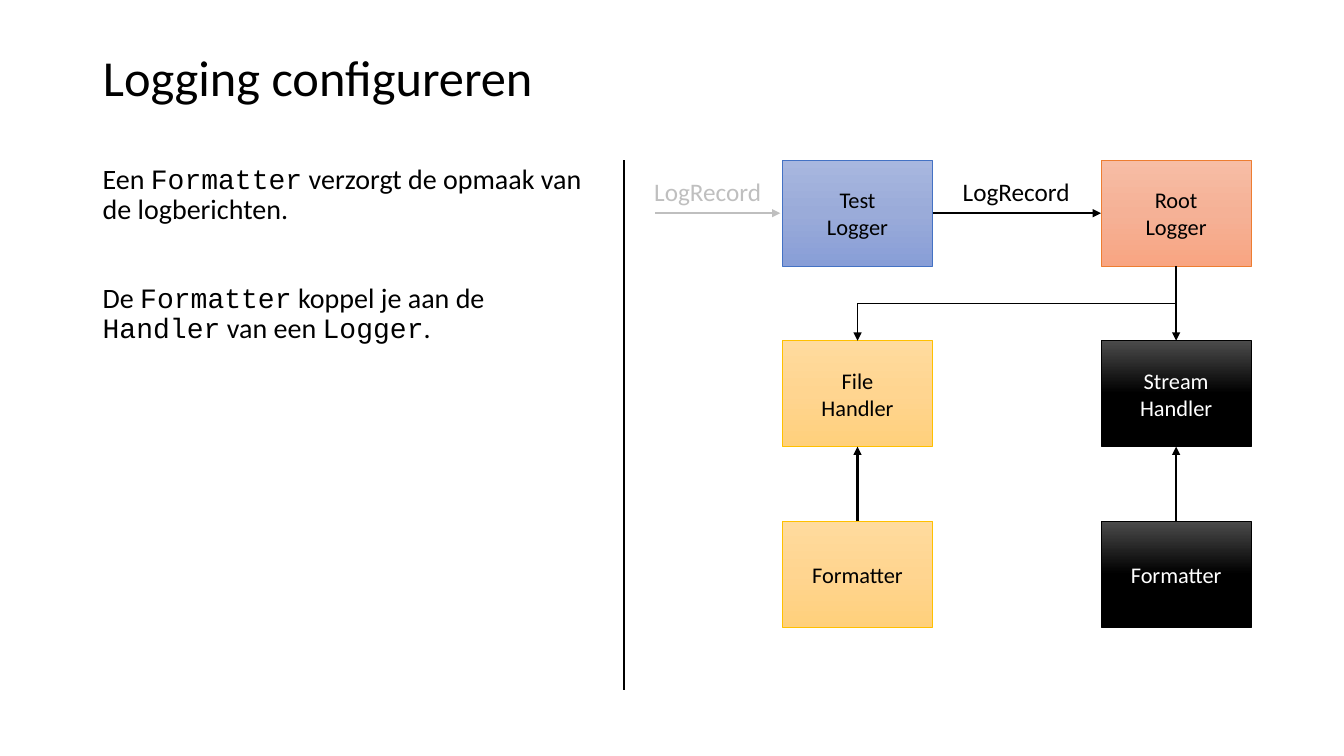
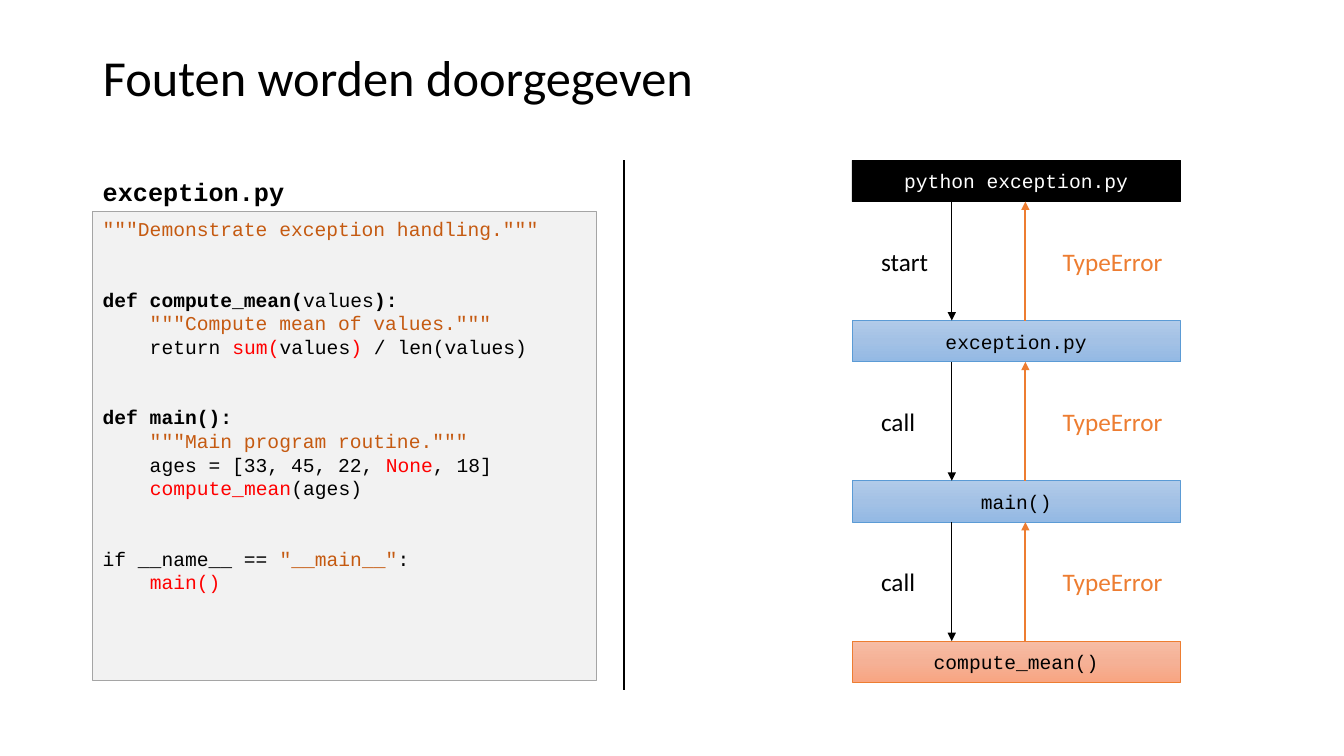
from copy import deepcopy

from lxml import etree
from pptx import Presentation
from pptx.dml.color import RGBColor
from pptx.enum.shapes import MSO_CONNECTOR, MSO_SHAPE
from pptx.enum.text import MSO_ANCHOR, MSO_AUTO_SIZE, PP_ALIGN
from pptx.oxml.ns import qn
from pptx.util import Inches, Pt

STRAIGHT, ELBOW = MSO_CONNECTOR.STRAIGHT, MSO_CONNECTOR.ELBOW
RECT = MSO_SHAPE.RECTANGLE
TOP, MIDDLE = MSO_ANCHOR.TOP, MSO_ANCHOR.MIDDLE
LEFT, CENTER = PP_ALIGN.LEFT, PP_ALIGN.CENTER
NO_FIT = MSO_AUTO_SIZE.NONE

SANS, MONO = "Calibri", "Courier New"
COLORS = {
    "black": "000000", "white": "FFFFFF", "muted": "BFBFBF",
    "error": "ED7D31", "string": "C55A11", "failing": "FF0000",
    "code_fill": "F2F2F2", "code_line": "A5A5A5",
}
# Box style: gradient stops from top to bottom, line colour, text colour
BOXES = {
    "indigo": (("A8B7DF", "9AABD9", "889ED7"), "4472C4", "black"),
    "blue": (("B1CBE9", "A3C1E5", "93B9E4"), "5B9BD5", "black"),
    "orange": (("F7BDA5", "F5B196", "F8A582"), "ED7D31", "black"),
    "gold": (("FFDB9E", "FFD590", "FFD07C"), "FFC000", "black"),
    "dark": (("4B4B4B", "000000", "000000"), "000000", "white"),
    "solid": (("000000",), "000000", "white"),
}
MARGIN, COLUMN_W = 0.92, 5
CONTENT_TOP = 1.59
CODE_LINE = 16.85

# Blocks of lines, each line a list of (text, style)
CODE = [
    [[('"""Demonstrate exception handling."""', "string")]],
    [
        [("def compute_mean(", "bold"), ("values", "black"), ("):", "bold")],
        [('    """Compute mean of values."""', "string")],
        [("    return ", "black"), ("sum(", "failing"), ("values", "black"),
         (")", "failing"), (" / len(values)", "black")],
    ],
    [
        [("def main():", "bold")],
        [('    """Main program routine."""', "string")],
        [("    ages = [33, 45, 22, ", "black"), ("None", "failing"),
         (", 18]", "black")],
        [("    ", "black"), ("compute_mean", "failing"), ("(ages)", "black")],
    ],
    [
        [("if __name__ == ", "black"), ('"__main__"', "string"),
         (":", "black")],
        [("    ", "black"), ("main()", "failing")],
    ],
]


def rgb(name):
    return RGBColor.from_string(COLORS.get(name, name))


def set_font(font, size, color="black", name=SANS, bold=False):
    font.size, font.name, font.bold = Pt(size), name, bold
    font.color.rgb = rgb(color)


def add_line(slide, start, end, color="black", width=1.5, arrow=True,
             kind=STRAIGHT):
    c = slide.shapes.add_connector(kind, *map(Inches, (*start, *end)))
    c.line.color.rgb = rgb(color)
    c.line.width = Pt(width)
    if arrow:
        etree.SubElement(c.line._get_or_add_ln(), qn("a:tailEnd"),
                         type="triangle")
    etree.SubElement(c._element.spPr, qn("a:effectLst"))
    return c


def add_vertical_elbow(slide, start, end):
    """Draw an arrow that leaves and arrives vertically, going left."""
    (x1, y1), (x2, y2) = start, end
    cx, cy = (x1 + x2) / 2, (y1 + y2) / 2
    dx, dy = (y2 - y1) / 2, (x1 - x2) / 2
    c = add_line(slide, (cx - dx, cy - dy), (cx + dx, cy + dy), width=1,
                 kind=ELBOW)
    c._element.spPr.find(qn("a:xfrm")).set("rot", "5400000")


def add_slide(prs, title):
    slide = prs.slides.add_slide(prs.slide_layouts[5])
    s = slide.shapes.title
    s.left, s.top, s.width, s.height = map(Inches, (MARGIN, 0.4, 11.5, 0.79))
    tf = s.text_frame
    tf.text = title
    tf.auto_size = NO_FIT
    tf.vertical_anchor = MIDDLE
    p = tf.paragraphs[0]
    p.alignment, p.line_spacing = LEFT, 0.9
    set_font(p.font, 36)
    add_line(slide, (6.19, CONTENT_TOP), (6.19, 6.85), arrow=False)
    return slide


def add_rect(slide, x, y, w, h, line, line_width=0.5):
    s = slide.shapes.add_shape(RECT, *map(Inches, (x, y, w, h)))
    s.shadow.inherit = False
    s.line.color.rgb = rgb(line)
    s.line.width = Pt(line_width)
    return s


def fill_gradient(s, colors):
    s.fill.gradient()
    s.fill.gradient_angle = 270
    stops = s._element.spPr.find(".//" + qn("a:gsLst"))
    stops.insert(1, deepcopy(stops[0]))
    for stop, position, color in zip(s.fill.gradient_stops, (0, 0.5, 1),
                                     colors):
        stop.position = position
        stop.color.rgb = rgb(color)


def add_box(slide, x, y, w, h, text, style, size, font=SANS):
    fills, line, text_color = BOXES[style]
    s = add_rect(slide, x, y, w, h, line)
    if len(fills) > 1:
        fill_gradient(s, fills)
    else:
        s.fill.solid()
        s.fill.fore_color.rgb = rgb(fills[0])
    tf = s.text_frame
    tf.text = text
    tf.vertical_anchor = MIDDLE
    for p in tf.paragraphs:
        p.alignment = CENTER
        set_font(p.font, size, text_color, font)


def add_label(slide, x, y, w, text, color="black", font=SANS, bold=False):
    s = slide.shapes.add_textbox(*map(Inches, (x, y, w, 0.4)))
    tf = s.text_frame
    tf.word_wrap = False
    tf.text = text
    set_font(tf.paragraphs[0].font, 18, color, font, bold)


def add_body(slide, paragraphs):
    """Add paragraphs whose runs alternate between plain text and code."""
    s = slide.shapes.add_textbox(
        *map(Inches, (MARGIN, CONTENT_TOP, COLUMN_W, 5.16)))
    tf = s.text_frame
    tf.word_wrap = True
    for i, runs in enumerate(paragraphs):
        p = tf.add_paragraph() if i else tf.paragraphs[0]
        p.line_spacing = 0.9
        if i:
            p.space_before = Pt(42)
        set_font(p.font, 20)
        for j, text in enumerate(runs):
            r = p.add_run()
            r.text = text
            r.font.name = MONO if j % 2 else SANS


def add_code(slide, blocks):
    s = add_rect(slide, MARGIN, 2.1, COLUMN_W, 4.65, "code_line")
    s.fill.solid()
    s.fill.fore_color.rgb = rgb("code_fill")
    tf = s.text_frame
    tf.vertical_anchor = TOP
    p = None
    for block in blocks:
        for i, line in enumerate(block):
            first = p is None
            p = tf.paragraphs[0] if first else tf.add_paragraph()
            p.alignment, p.line_spacing = LEFT, Pt(CODE_LINE)
            if i == 0 and not first:
                p.space_before = Pt(2 * CODE_LINE)
            set_font(p.font, 14, name=MONO)
            for text, style in line:
                r = p.add_run()
                r.text = text
                r.font.bold = style == "bold"
                r.font.color.rgb = rgb("black" if style == "bold" else style)


def build_logging(prs):
    slide = add_slide(prs, "Logging configureren")
    add_body(slide, [
        ["Een ", "Formatter", " verzorgt de opmaak van de logberichten."],
        ["De ", "Formatter", " koppel je aan de ", "Handler", " van een ",
         "Logger", "."],
    ])
    w, h = 1.49, 1.05
    left, right = 7.76, 10.92
    tops = [CONTENT_TOP + 1.79 * i for i in range(3)]
    bottoms = [y + h for y in tops]
    for x, column in (
        (left, (("Test\nLogger", "indigo"), ("File\nHandler", "gold"),
                ("Formatter", "gold"))),
        (right, (("Root\nLogger", "orange"), ("Stream\nHandler", "dark"),
                 ("Formatter", "dark"))),
    ):
        for y, (text, style) in zip(tops, column):
            add_box(slide, x, y, w, h, text, style, 16)

    mid_y = tops[0] + h / 2
    for x1, x2, label_x, color in ((6.5, left - 0.02, 6.39, "muted"),
                                   (left + w, right, 9.45, "black")):
        add_line(slide, (x1, mid_y), (x2, mid_y), color)
        add_label(slide, label_x, 1.7, 1.28, "LogRecord", color)

    left_mid, right_mid = left + w / 2, right + w / 2
    for x, width in ((left_mid, 1.5), (right_mid, 1)):
        add_line(slide, (x, tops[2]), (x, bottoms[1]), width=width)
    root_out = (right_mid, bottoms[0])
    add_line(slide, root_out, (right_mid, tops[1]), width=1)
    add_vertical_elbow(slide, root_out, (left_mid, tops[1]))


def build_exceptions(prs):
    slide = add_slide(prs, "Fouten worden doorgegeven")
    add_label(slide, MARGIN, 1.7, COLUMN_W, "exception.py", font=MONO,
              bold=True)
    add_code(slide, CODE)

    h, pitch = 0.41, 1.59
    calls = (("python exception.py", "solid"), ("exception.py", "blue"),
             ("main()", "blue"), ("compute_mean()", "orange"))
    for i, (text, style) in enumerate(calls):
        add_box(slide, 8.45, CONTENT_TOP + i * pitch, 3.26, h, text, style,
                14, MONO)
    for i, (text, text_w) in enumerate((("start", 0.67), ("call", 0.54),
                                        ("call", 0.54))):
        upper = CONTENT_TOP + i * pitch + h
        lower = CONTENT_TOP + (i + 1) * pitch
        label_y = upper + 0.39
        add_line(slide, (9.44, upper), (9.44, lower), width=1)
        add_line(slide, (10.17, lower), (10.17, upper), "error")
        add_label(slide, 8.64, label_y, text_w, text)
        add_label(slide, 10.44, label_y, 1.2, "TypeError", "error")


def main():
    prs = Presentation()
    prs.slide_width, prs.slide_height = Inches(13.33), Inches(7.5)
    build_logging(prs)
    build_exceptions(prs)
    prs.save("out.pptx")


if __name__ == "__main__":
    main()
